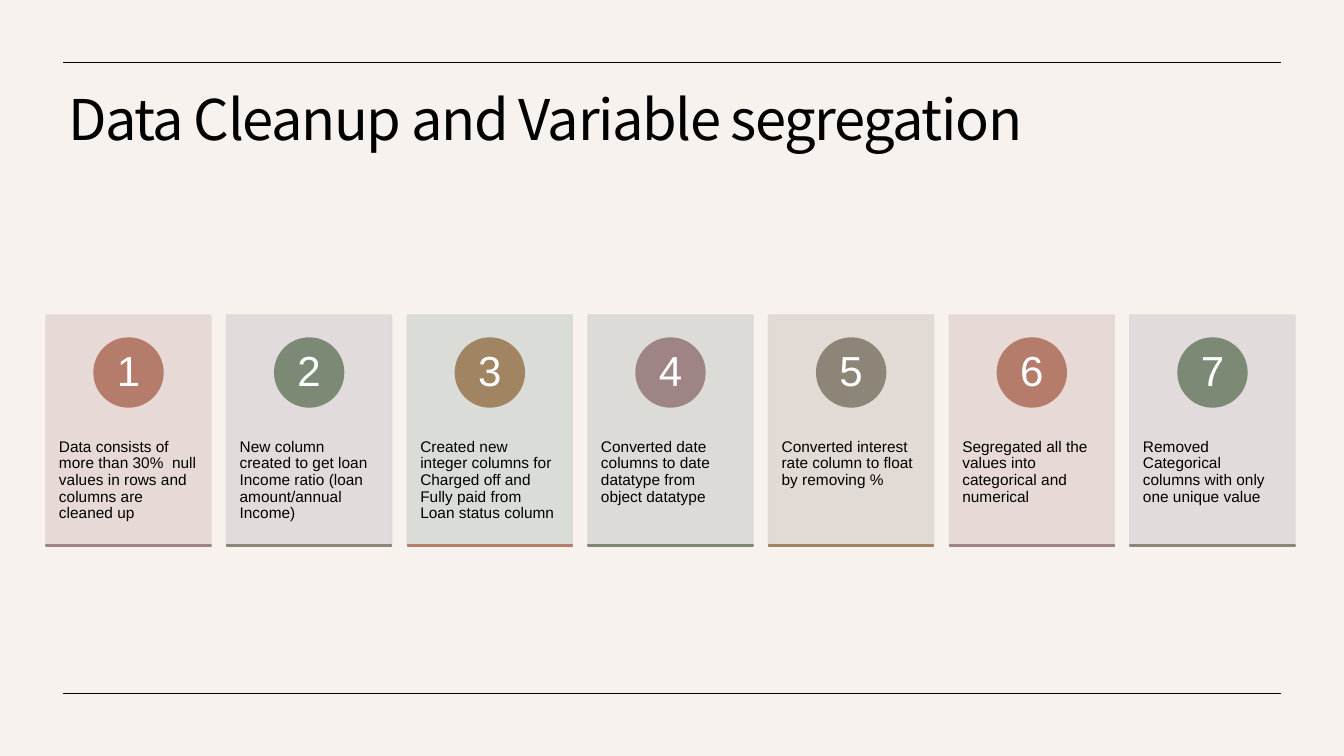
from lxml import etree
from pptx import Presentation
from pptx.dml.color import RGBColor
from pptx.enum.shapes import MSO_CONNECTOR, MSO_SHAPE
from pptx.enum.text import MSO_ANCHOR, MSO_AUTO_SIZE, PP_ALIGN
from pptx.oxml.ns import qn
from pptx.util import Pt

RECT, OVAL = MSO_SHAPE.RECTANGLE, MSO_SHAPE.OVAL
STRAIGHT = MSO_CONNECTOR.STRAIGHT
TOP, MIDDLE = MSO_ANCHOR.TOP, MSO_ANCHOR.MIDDLE
LEFT, CENTER = PP_ALIGN.LEFT, PP_ALIGN.CENTER
NO_FIT = MSO_AUTO_SIZE.NONE

# Content: text, card colour, circle colour, base line colour
TITLE = "Data Cleanup and Variable segregation"
STEPS = [
    ("Data consists of more than 30%  null values in rows and columns are cleaned up",
     "E5D7D4", "B57B6B", "9E8484"),
    ("New column created to get loan Income ratio (loan amount/annual Income)",
     "DFD9D9", "7C8A75", "8C8578"),
    ("Created new integer columns for Charged off and Fully paid from Loan status column",
     "D7DAD6", "A18563", "B57B6B"),
    ("Converted date columns to date datatype from object datatype",
     "DAD9D6", "9E8484", "7C8A75"),
    ("Converted interest rate column to float by removing %",
     "E0D9D3", "8C8578", "A18563"),
    ("Segregated all the values into categorical and numerical",
     "E5D7D4", "B57B6B", "9E8484"),
    ("Removed Categorical columns with only one unique value",
     "DFD9D9", "7C8A75", "8C8578"),
]

# Layout in px
PAGE_W, PAGE_H = 1344, 756
RULE_LEFT, RULE_RIGHT, RULE_YS = 63, 1281, (62, 693)
FIRST_LEFT, LAST_LEFT = 46, 1130
CARD_TOP, CARD_W, CARD_H = 315, 165, 230
TEXT_TOP, TEXT_H = 403, 138
CIRCLE_TOP, CIRCLE = 338, 69
NUMBER_INSET = 10
SCALE = 12192000 / PAGE_W


def px(*lengths):
    return [round(length * SCALE) for length in lengths]


def color(value):
    return RGBColor.from_string(value)


def add_filled(kind, box, fill, opacity=100):
    shape = page.shapes.add_shape(kind, *px(*box))
    shape.shadow.inherit = False
    shape.fill.solid()
    shape.fill.fore_color.rgb = color(fill)
    shape.line.color.rgb = color(fill)
    shape.line.width = Pt(1)
    if opacity < 100:
        for tone in shape._element.spPr.iter(qn("a:srgbClr")):
            etree.SubElement(tone, qn("a:alpha"), val=str(opacity * 1000))


def write(shape, text, size, tone, font="Arial", insets=(10, 5),
          anchor=TOP, align=LEFT):
    frame = shape.text_frame
    frame.word_wrap = True
    frame.auto_size = NO_FIT
    frame.vertical_anchor = anchor
    across, down = px(*insets)
    frame.margin_left = frame.margin_right = across
    frame.margin_top = frame.margin_bottom = down
    para = frame.paragraphs[0]
    para.text = text
    para.alignment = align
    para.line_spacing = 0.9
    para.font.size = Pt(size)
    para.font.name = font
    para.font.color.rgb = color(tone)
    return para


deck = Presentation()
deck.slide_width, deck.slide_height = px(PAGE_W, PAGE_H)
page = deck.slides.add_slide(deck.slide_layouts[5])
page.background.fill.solid()
page.background.fill.fore_color.rgb = color("F7F2EE")

# Title
title = page.shapes.title
title.left, title.top, title.width, title.height = px(58, 87, 1225, 116)
heading = write(title, TITLE, 40, "000000", "Noto Sans CJK KR")
heading.runs[0]._r.get_or_add_rPr().set("spc", "-100")

# Rules above and below
for y in RULE_YS:
    rule = page.shapes.add_connector(STRAIGHT, *px(RULE_RIGHT, y, RULE_LEFT, y))
    rule.line.color.rgb = color("000000")
    rule.line.width = Pt(0.5)
    etree.SubElement(rule._element.spPr, qn("a:effectLst"))

# Numbered step cards
pitch = (LAST_LEFT - FIRST_LEFT) / (len(STEPS) - 1)
for index, (text, card, circle, base) in enumerate(STEPS):
    left = FIRST_LEFT + index * pitch
    add_filled(RECT, (left, CARD_TOP, CARD_W, CARD_H), card, 90)
    body = page.shapes.add_textbox(*px(left, TEXT_TOP, CARD_W, TEXT_H))
    write(body, text, 11, "000000", insets=(13, 36))

    circle_left = left + (CARD_W - CIRCLE) / 2
    add_filled(OVAL, (circle_left, CIRCLE_TOP, CIRCLE, CIRCLE), circle)
    side = CIRCLE - 2 * NUMBER_INSET
    number = page.shapes.add_textbox(
        *px(circle_left + NUMBER_INSET, CIRCLE_TOP + NUMBER_INSET, side, side))
    write(number, str(index + 1), 30, "FFFFFF", insets=(5, 1),
          anchor=MIDDLE, align=CENTER)

    add_filled(RECT, (left, CARD_TOP + CARD_H, CARD_W, 1), base)

deck.save("out.pptx")
